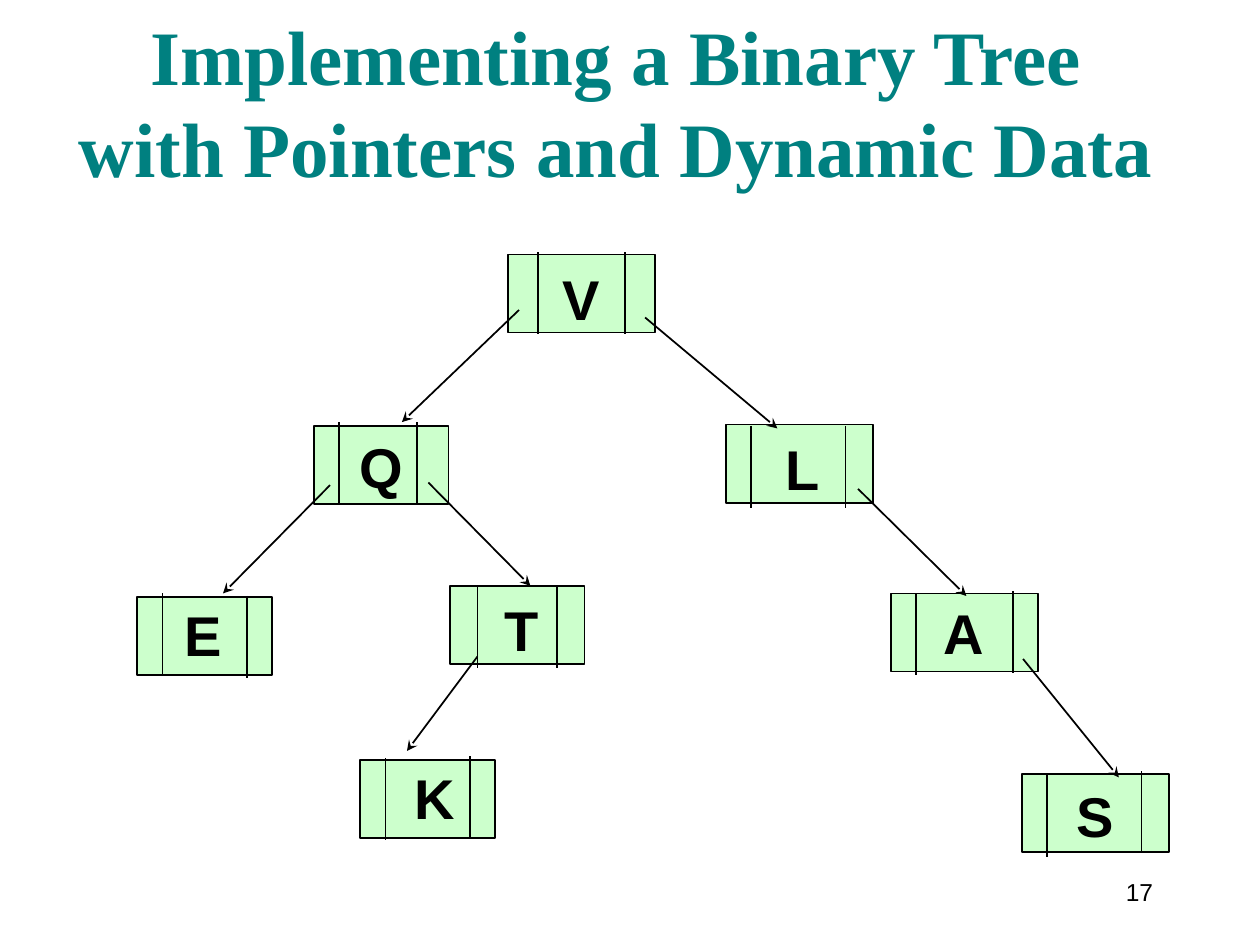
from pptx import Presentation
from pptx.dml.color import RGBColor as RGB
from pptx.enum.shapes import MSO_CONNECTOR as CONN, MSO_SHAPE as SHAPE
from pptx.enum.text import MSO_ANCHOR as ANCHOR, PP_ALIGN as ALIGN
from pptx.oxml.ns import qn
from pptx.util import Inches, Pt
from lxml.etree import SubElement

TITLE = "Implementing a Binary Tree\vwith Pointers and Dynamic Data"
PAGE = "17"

# letter: box left, top, width; letter centre, top; dividers as (x, top)
NODES = {
    "V": ((4.03, 2.02, 1.17), (4.61, 2.05), [(4.27, 2.0), (4.96, 2.0)]),
    "Q": ((2.49, 3.38, 1.07), (3.03, 3.38), [(2.69, 3.35), (3.31, 3.35)]),
    "L": ((5.76, 3.37, 1.17), (6.37, 3.4), [(5.96, 3.38), (6.71, 3.38)]),
    "E": ((1.09, 4.74, 1.07), (1.61, 4.72), [(1.29, 4.71), (1.96, 4.73)]),
    "T": ((3.57, 4.65, 1.07), (4.14, 4.68), [(3.79, 4.65), (4.42, 4.65)]),
    "A": ((7.07, 4.71, 1.17), (7.65, 4.7), [(7.27, 4.71), (8.04, 4.69)]),
    "K": ((2.86, 6.03, 1.07), (3.45, 6.01), [(3.06, 6.02), (3.73, 6.0)]),
    "S": ((8.11, 6.14, 1.17), (8.69, 6.15), [(8.31, 6.15), (9.06, 6.12)]),
}
POINTERS = [
    ((4.12, 2.46), (3.19, 3.35)),
    ((5.12, 2.52), (6.17, 3.4)),
    ((2.62, 3.85), (1.77, 4.71)),
    ((3.4, 3.83), (4.21, 4.65)),
    ((6.81, 3.88), (7.67, 4.73)),
    ((3.79, 5.21), (3.23, 5.96)),
    ((8.12, 5.23), (8.88, 6.17)),
]
NODE_H, DIVIDER_H = 0.62, 0.65
LABEL_W, LABEL_H = 1.05, 0.63

THEME = {
    "title": RGB(0x00, 0x80, 0x80), "ink": RGB(0, 0, 0),
    "node": RGB(0xCC, 0xFF, 0xCC), "line": Pt(1),
    "serif": "Times New Roman", "sans": "Arial",
    "title_size": Pt(44), "label_size": Pt(32), "page_size": Pt(14),
}


def add_text(s, text, box, *, size, font=THEME["sans"], color=THEME["ink"],
             bold=False, align=ALIGN.CENTER, anchor=ANCHOR.TOP, wrap=True):
    tf = s.shapes.add_textbox(*map(Inches, box)).text_frame
    tf.word_wrap = wrap
    tf.vertical_anchor = anchor
    p = tf.paragraphs[0]
    p.text = text
    p.alignment = align
    for r in p.runs:
        r.font.name, r.font.size, r.font.bold = font, size, bold
        r.font.color.rgb = color


def add_line(s, start, end, arrow=False):
    c = s.shapes.add_connector(CONN.STRAIGHT, *map(Inches, (*start, *end)))
    c.line.color.rgb = THEME["ink"]
    c.line.width = THEME["line"]
    if arrow:
        SubElement(c.line._get_or_add_ln(), qn("a:tailEnd"), type="stealth")
    SubElement(c._element.spPr, qn("a:effectLst"))


def add_box(s, left, top, width):
    sp = s.shapes.add_shape(SHAPE.RECTANGLE, *map(Inches, (left, top, width, NODE_H)))
    sp.shadow.inherit = False
    sp.fill.solid()
    sp.fill.fore_color.rgb = THEME["node"]
    sp.line.color.rgb = THEME["ink"]
    sp.line.width = THEME["line"]


def main():
    prs = Presentation()
    prs.slide_width, prs.slide_height = Inches(10), Inches(7.5)
    s = prs.slides.add_slide(prs.slide_layouts[6])

    add_text(s, TITLE, (0.44, 0.33, 8.9, 1.25), size=THEME["title_size"],
             font=THEME["serif"], color=THEME["title"], bold=True,
             anchor=ANCHOR.BOTTOM)
    add_text(s, PAGE, (8.58, 6.83, 0.67, 0.5), size=THEME["page_size"],
             align=ALIGN.RIGHT, anchor=ANCHOR.MIDDLE)

    for box, _, _ in NODES.values():
        add_box(s, *box)
    for start, end in POINTERS:
        add_line(s, start, end, arrow=True)
    for letter, (_, (center, top), dividers) in NODES.items():
        add_text(s, letter, (center - LABEL_W / 2, top, LABEL_W, LABEL_H),
                 size=THEME["label_size"], bold=True)
        for x, y in dividers:
            add_line(s, (x, y), (x, y + DIVIDER_H))

    prs.save("out.pptx")


if __name__ == "__main__":
    main()
